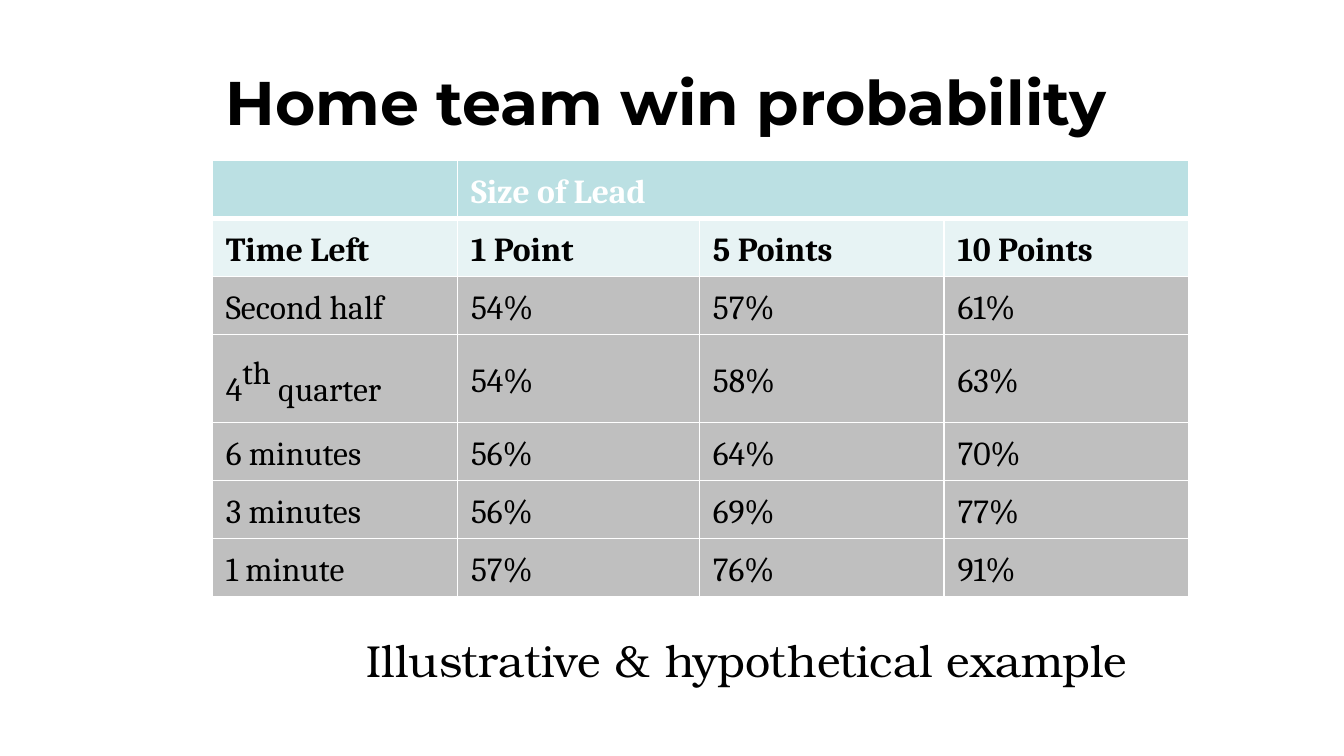
"""Build a slide with a table of home team win probabilities."""
from dataclasses import dataclass

from lxml.etree import SubElement
from pptx import Presentation
from pptx.dml.color import RGBColor
from pptx.enum.text import MSO_ANCHOR as Anchor, MSO_AUTO_SIZE as AutoSize, PP_ALIGN as Align
from pptx.oxml import parse_xml
from pptx.oxml.ns import nsdecls, qn
from pptx.util import Pt

EMU_PER_PX = 4572
BLACK = RGBColor(0x00, 0x00, 0x00)
WHITE = RGBColor(0xFF, 0xFF, 0xFF)
TEAL = RGBColor(0xBB, 0xE0, 0xE3)
PALE_TEAL = RGBColor(0xE7, 0xF3, 0xF4)
GRAY = RGBColor(0xBF, 0xBF, 0xBF)
THIN, THICK = 0.75, 3


@dataclass(frozen=True)
class Box:
    left: int
    top: int
    width: int
    height: int

    def emu(self) -> tuple[int, ...]:
        return tuple(px(value) for value in (self.left, self.top, self.width, self.height))


@dataclass(frozen=True)
class TextStyle:
    font: str
    size: int
    color: RGBColor = BLACK
    bold: bool = False
    line_spacing: float = 1.0


@dataclass(frozen=True)
class RowStyle:
    fill: RGBColor
    text: TextStyle
    top_border: float = THIN
    bottom_border: float = THIN


@dataclass(frozen=True)
class Row:
    texts: tuple[str, ...]
    style: RowStyle
    height: int = 62


TITLE = TextStyle("Montserrat", 33, bold=True, line_spacing=0.9)
CAPTION = TextStyle("TeX Gyre Bonum", 24)
HEADER = RowStyle(TEAL, TextStyle("Cambria", 18, WHITE, True, 1.15), bottom_border=THICK)
SUBHEADER = RowStyle(PALE_TEAL, TextStyle("Cambria", 18, BLACK, True, 1.15), top_border=THICK)
BODY = RowStyle(GRAY, TextStyle("Cambria", 18, line_spacing=1.15))
ORDINAL = "th"
ORDINAL_SIZE = 30
COLUMN_WIDTHS = (365, 360, 364, 364)
ROWS = (
    Row(("", "Size of Lead", "", ""), HEADER),
    Row(("Time Left", "1 Point", "5 Points", "10 Points"), SUBHEADER),
    Row(("Second half", "54%", "57%", "61%"), BODY),
    Row(("4th quarter", "54%", "58%", "63%"), BODY, 94),
    Row(("6 minutes", "56%", "64%", "70%"), BODY),
    Row(("3 minutes", "56%", "69%", "77%"), BODY),
    Row(("1 minute", "57%", "76%", "91%"), BODY),
)


def px(value: int) -> int:
    return value * EMU_PER_PX


def format_paragraph(paragraph, style: TextStyle) -> None:
    paragraph.alignment = Align.LEFT
    paragraph.line_spacing = style.line_spacing
    font = paragraph.font
    font.name, font.size, font.bold = style.font, Pt(style.size), style.bold
    font.color.rgb = style.color


def write_text(frame, text: str, style: TextStyle) -> None:
    frame.text = text
    frame.word_wrap = True
    format_paragraph(frame.paragraphs[0], style)


def write_ordinal(paragraph, text: str) -> None:
    number, rest = text.split(ORDINAL, 1)
    paragraph.clear()
    for part in (number, ORDINAL, rest):
        run = paragraph.add_run()
        run.text = part
        if part == ORDINAL:
            run.font.size = Pt(ORDINAL_SIZE)
            run.font._element.set("baseline", "30000")


def set_borders(cell, style: RowStyle) -> None:
    properties = cell._tc.get_or_add_tcPr()
    widths = {"lnL": THIN, "lnR": THIN, "lnT": style.top_border, "lnB": style.bottom_border}
    for index, (tag, width) in enumerate(widths.items()):
        line = parse_xml(f'<a:{tag} {nsdecls("a")} w="{Pt(width)}"/>')
        fill = SubElement(line, qn("a:solidFill"))
        SubElement(fill, qn("a:srgbClr"), val=str(WHITE))
        properties.insert(index, line)


def draw_cell(cell, text: str, style: RowStyle) -> None:
    write_text(cell.text_frame, text, style.text)
    if text.startswith("4" + ORDINAL):
        write_ordinal(cell.text_frame.paragraphs[0], text)
    cell.vertical_anchor = Anchor.MIDDLE
    cell.fill.solid()
    cell.fill.fore_color.rgb = style.fill
    set_borders(cell, style)


def draw_table(slide, box: Box) -> None:
    table = slide.shapes.add_table(len(ROWS), len(COLUMN_WIDTHS), *box.emu()).table
    table.first_row = table.horz_banding = False
    for column, width in zip(table.columns, COLUMN_WIDTHS):
        column.width = px(width)
    for row_index, row in enumerate(ROWS):
        table.rows[row_index].height = px(row.height)
        for column_index, text in enumerate(row.texts):
            draw_cell(table.cell(row_index, column_index), text, row.style)
    table.cell(0, 1).merge(table.cell(0, 3))


def draw_title(slide, box: Box, text: str) -> None:
    title = slide.shapes.title
    title.left, title.top, title.width, title.height = box.emu()
    write_text(title.text_frame, text, TITLE)
    title.text_frame.auto_size = AutoSize.NONE
    title.text_frame.vertical_anchor = Anchor.TOP


def draw_caption(slide, box: Box, text: str) -> None:
    frame = slide.shapes.add_textbox(*box.emu()).text_frame
    write_text(frame, text, CAPTION)
    frame.auto_size = AutoSize.SHAPE_TO_FIT_TEXT
    frame.margin_left = frame.margin_top = frame.margin_right = frame.margin_bottom = px(20)


def main() -> None:
    presentation = Presentation()
    presentation.slide_width, presentation.slide_height = px(2000), px(1125)
    slide = presentation.slides.add_slide(presentation.slide_layouts[5])
    draw_title(slide, Box(316, 98, 1522, 126), "Home team win probability")
    table_height = sum(row.height for row in ROWS)
    draw_table(slide, Box(316, 239, sum(COLUMN_WIDTHS), table_height))
    draw_caption(slide, Box(526, 922, 1344, 122), "Illustrative & hypothetical example")
    presentation.save("out.pptx")


if __name__ == "__main__":
    main()
